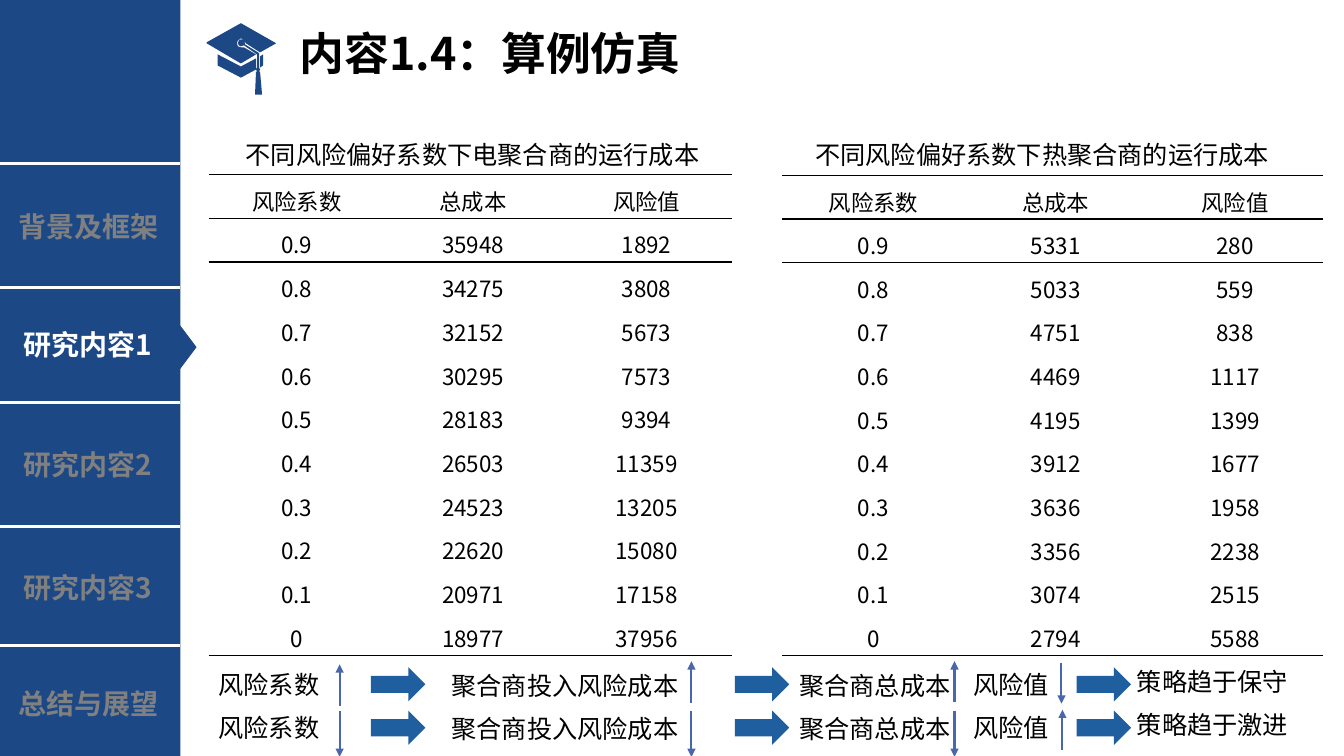
from dataclasses import dataclass

import lxml.etree
import pptx
import pptx.dml.color
import pptx.enum.dml
import pptx.enum.shapes
import pptx.enum.text
import pptx.oxml.ns
import pptx.util

FONT = "Noto Sans CJK SC"
COLORS = {"navy": "1C4885", "white": "FFFFFF", "grey": "808080",
          "black": "000000", "block": "1F5FA0", "trend": "4A66AC"}
LEFT = pptx.enum.text.PP_ALIGN.LEFT
CENTER = pptx.enum.text.PP_ALIGN.CENTER
NO_FIT = pptx.enum.text.MSO_AUTO_SIZE.NONE
GROW = pptx.enum.text.MSO_AUTO_SIZE.SHAPE_TO_FIT_TEXT
SHAPES = pptx.enum.shapes.MSO_SHAPE


@dataclass
class Label:
    text: str
    left: float
    top: float
    width: float
    size: float = 18
    color: str = "black"
    bold: bool = False
    align: int = LEFT
    wrap: bool = True


@dataclass
class Line:
    x1: float
    y1: float
    x2: float
    y2: float
    color: str
    width: float
    arrow: bool = False


@dataclass
class CostTable:
    left: float
    top: float
    widths: tuple[float, ...]
    row_height: float
    totals: tuple[int, ...]
    risks: tuple[int, ...]


def rgb(name: str) -> pptx.dml.color.RGBColor:
    return pptx.dml.color.RGBColor.from_string(COLORS[name])


def add_element(parent, tag: str, **attributes: str):
    return lxml.etree.SubElement(parent, pptx.oxml.ns.qn(tag), **attributes)


def write(para, text: str, size: float, color: str, bold: bool, align: int) -> None:
    para.alignment = align
    span = para.add_run()
    span.text = text
    span.font.size = pptx.util.Pt(size)
    span.font.bold = bold
    span.font.color.rgb = rgb(color)
    span.font.name = FONT
    add_element(span.font._element, "a:ea", typeface=FONT)


def paint(shape, color: str) -> None:
    shape.shadow.inherit = False
    shape.fill.solid()
    shape.fill.fore_color.rgb = rgb(color)
    shape.line.fill.background()


def add_block(page, kind, left: float, top: float, width: float, height: float, color: str):
    block = page.shapes.add_shape(kind, *map(pptx.util.Pt, (left, top, width, height)))
    paint(block, color)
    return block


def add_label(page, label: Label) -> None:
    height = label.size * 1.2 + 7.2
    box = page.shapes.add_textbox(*map(pptx.util.Pt, (label.left, label.top, label.width, height)))
    box.text_frame.word_wrap = label.wrap
    box.text_frame.auto_size = GROW
    write(box.text_frame.paragraphs[0], label.text, label.size, label.color, label.bold, label.align)


def add_line(page, line: Line) -> None:
    ends = map(pptx.util.Pt, (line.x1, line.y1, line.x2, line.y2))
    connector = page.shapes.add_connector(pptx.enum.shapes.MSO_CONNECTOR.STRAIGHT, *ends)
    connector.line.color.rgb = rgb(line.color)
    connector.line.width = pptx.util.Pt(line.width)
    if line.arrow:
        add_element(connector.line._get_or_add_ln(), "a:tailEnd", type="triangle")
    add_element(connector._element.spPr, "a:effectLst")


def add_cap(page) -> None:
    contours = [
        [(258, 67), (261, 65), (261, 54), (258, 56)],
        [(216, 54), (216, 65), (237, 76), (239, 77), (241, 76), (254, 69), (254, 58), (239, 66)],
        [(257, 53), (256, 52), (243, 44), (243, 43), (242, 40), (239, 39), (237, 40), (236, 43),
         (237, 45), (239, 46), (242, 45), (255, 54)],
        [(274, 43), (239, 23), (205, 42), (205, 43), (239, 63), (254, 54), (242, 47), (239, 47),
         (236, 46), (235, 43), (236, 40), (239, 38), (242, 40), (244, 43), (258, 52)],
        [(257, 53), (257, 67), (258, 69), (257, 71), (258, 71), (260, 94), (253, 94), (254, 71),
         (255, 71), (254, 69), (255, 67), (255, 54)],
    ]
    builder = page.shapes.build_freeform(*contours[0][0], scale=pptx.util.Pt(0.72))
    for contour in contours:
        builder.move_to(*contour[0])
        builder.add_line_segments(contour[1:], close=True)
    paint(builder.convert_to_shape(), "navy")


def add_border(cell, tag: str) -> None:
    edge = add_element(cell._tc.get_or_add_tcPr(), tag, w=str(pptx.util.Pt(1)))
    fill = add_element(edge, "a:solidFill")
    add_element(fill, "a:srgbClr", val=COLORS["black"])


def add_cost_table(page, spec_table: CostTable) -> None:
    factors = ["0.9", "0.8", "0.7", "0.6", "0.5", "0.4", "0.3", "0.2", "0.1", "0"]
    rows = [("风险系数", "总成本", "风险值"), *zip(factors, spec_table.totals, spec_table.risks)]
    size = (sum(spec_table.widths), spec_table.row_height * len(rows))
    frame = page.shapes.add_table(
        len(rows), 3, *map(pptx.util.Pt, (spec_table.left, spec_table.top, *size)))
    table = frame.table
    table.first_row = table.horz_banding = False
    style = table._tbl.tblPr.find(pptx.oxml.ns.qn("a:tableStyleId"))
    style.text = "{2D5ABB26-0587-4C30-8999-92F81FD0307C}"
    for column, width in zip(table.columns, spec_table.widths):
        column.width = pptx.util.Pt(width)
    for r, values in enumerate(rows):
        table.rows[r].height = pptx.util.Pt(spec_table.row_height)
        for c, value in enumerate(values):
            cell = table.cell(r, c)
            cell.margin_left = cell.margin_right = pptx.util.Pt(5)
            cell.margin_top = cell.margin_bottom = 0
            cell.vertical_anchor = pptx.enum.text.MSO_ANCHOR.MIDDLE
            if r < 2:
                add_border(cell, "a:lnT")
            if r in (0, len(rows) - 1):
                add_border(cell, "a:lnB")
            cell.fill.background()
            para = cell.text_frame.paragraphs[0]
            para.line_spacing = 1.25
            write(para, str(value), 16, "black", False, CENTER)


def add_title(page) -> None:
    title = page.shapes.title
    title.left, title.top, title.width, title.height = map(pptx.util.Pt, (206.6, 19.4, 702.7, 54))
    title.text_frame.vertical_anchor = pptx.enum.text.MSO_ANCHOR.TOP
    title.text_frame.auto_size = NO_FIT
    title.text_frame.word_wrap = True
    para = title.text_frame.paragraphs[0]
    para.line_spacing = 0.9
    write(para, "内容1.4：算例仿真", 32, "black", True, LEFT)


def add_sidebar(page) -> None:
    add_block(page, SHAPES.RECTANGLE, 0, 0, 128.9, 540, "navy")
    for y in (116.6, 205.2, 287.3, 375.8, 460.8):
        add_line(page, Line(0, y, 128.9, y, "white", 2.25))
    pointer = add_block(page, SHAPES.ISOSCELES_TRIANGLE, 118.1, 241.9, 32.4, 12.2, "navy")
    pointer.rotation = 90
    for label in (
        Label("背景及框架", 3.6, 146.2, 119.5, 20, "grey", True, CENTER),
        Label("研究内容1", 9.4, 230.4, 110.2, 20, "white", True),
        Label("研究内容2", 9.4, 316.1, 110.2, 20, "grey", True),
        Label("研究内容3", 9.4, 403.9, 110.2, 20, "grey", True),
        Label("总结与展望", -5.8, 486.7, 138.2, 20, "grey", True, CENTER),
    ):
        add_label(page, label)


def add_conclusions(page) -> None:
    for row, outcome in enumerate(("策略趋于保守", "策略趋于激进")):
        shift = 31 * row
        for text, left, top, width in (
            ("风险系数", 149, 474.5, 87.1),
            ("聚合商投入风险成本", 315.4, 475.2, 177.8),
            ("聚合商总成本", 563.8, 475.2, 123.8),
            ("风险值", 688.3, 474.5, 69.1),
            (outcome, 805, 472.3, 123.8),
        ):
            add_label(page, Label(text, left, top + shift, width, wrap=False))
        for left in (265, 524.9, 769):
            add_block(page, SHAPES.RIGHT_ARROW, left, 476.6 + shift, 38.9, 24.5, "block")
    for x, start, end in (
        (242.6, 504, 474.5), (493.9, 501.8, 472.3), (681.8, 501.1, 472.3), (758.2, 473.8, 502.6),
        (242.6, 507.6, 540.7), (493.9, 507.6, 540.7), (681.8, 507.6, 540.7), (758.9, 535.7, 506.9),
    ):
        add_line(page, Line(x, start, x, end, "trend", 1.5, True))


def main() -> None:
    deck = pptx.Presentation()
    deck.slide_width, deck.slide_height = pptx.util.Pt(960), pptx.util.Pt(540)
    page = deck.slides.add_slide(deck.slide_layouts[5])
    add_title(page)
    add_cap(page)
    add_sidebar(page)
    add_label(page, Label("不同风险偏好系数下电聚合商的运行成本", 168.5, 95.8, 342.7))
    add_label(page, Label("不同风险偏好系数下热聚合商的运行成本", 575.3, 95.8, 352.1))
    add_cost_table(page, CostTable(
        149, 124.6, (126, 126, 121.7), 31.25,
        (35948, 34275, 32152, 30295, 28183, 26503, 24523, 22620, 20971, 18977),
        (1892, 3808, 5673, 7573, 9394, 11359, 13205, 15080, 17158, 37956)))
    add_cost_table(page, CostTable(
        558.7, 125.3, (130.3, 130.3, 126), 31.2,
        (5331, 5033, 4751, 4469, 4195, 3912, 3636, 3356, 3074, 2794),
        (280, 559, 838, 1117, 1399, 1677, 1958, 2238, 2515, 5588)))
    add_conclusions(page)
    deck.save("out.pptx")


if __name__ == "__main__":
    main()
